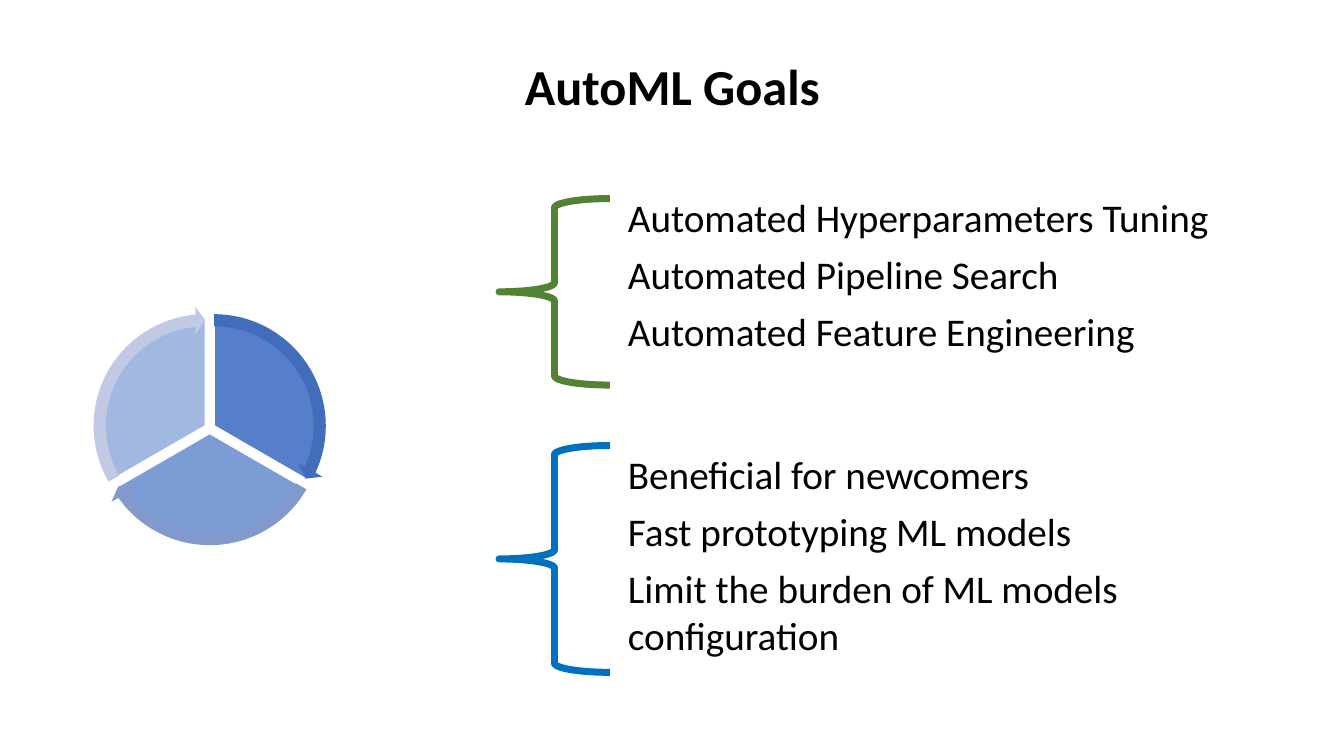
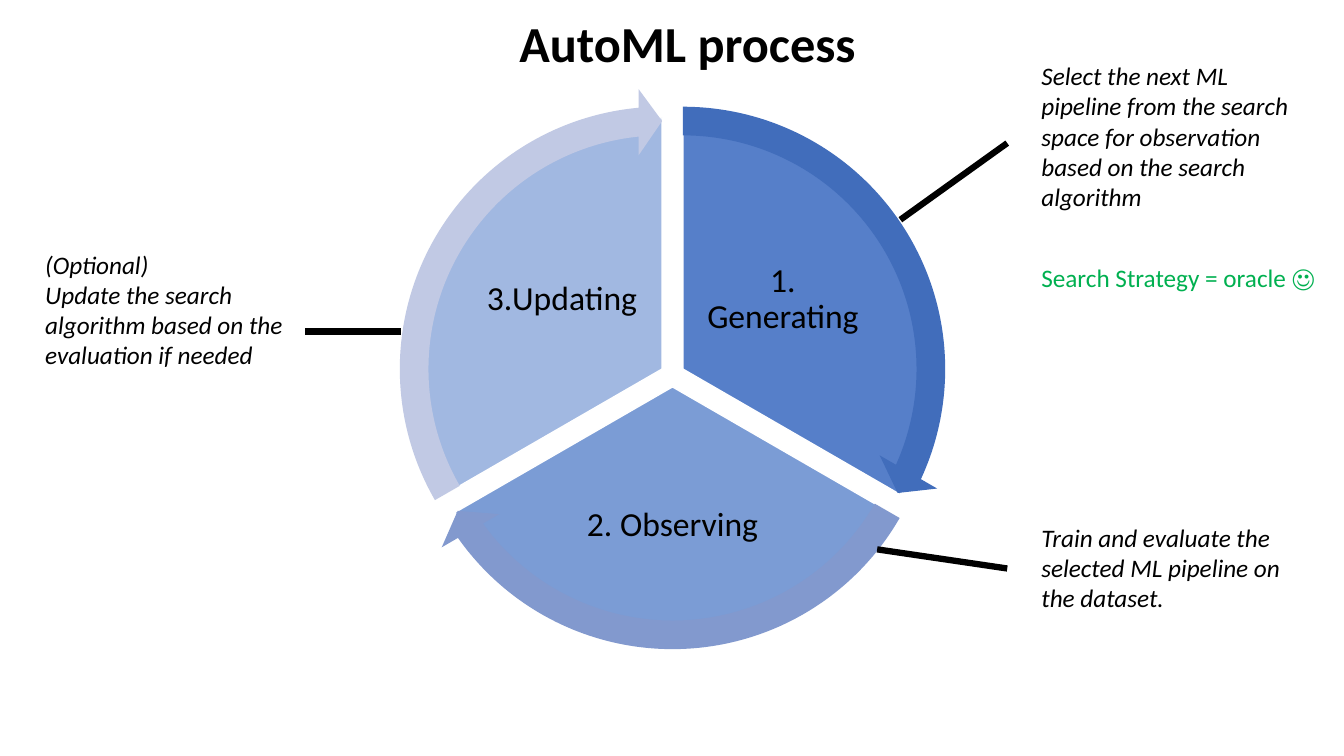
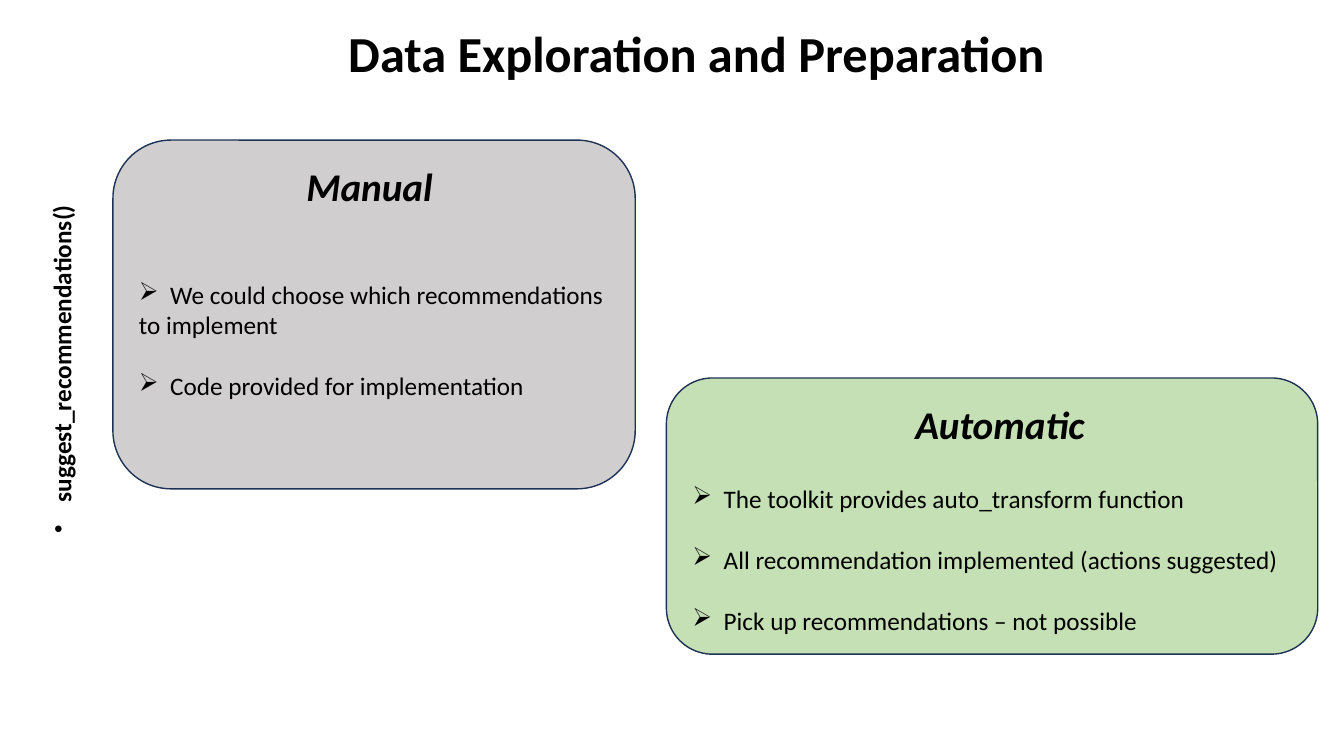
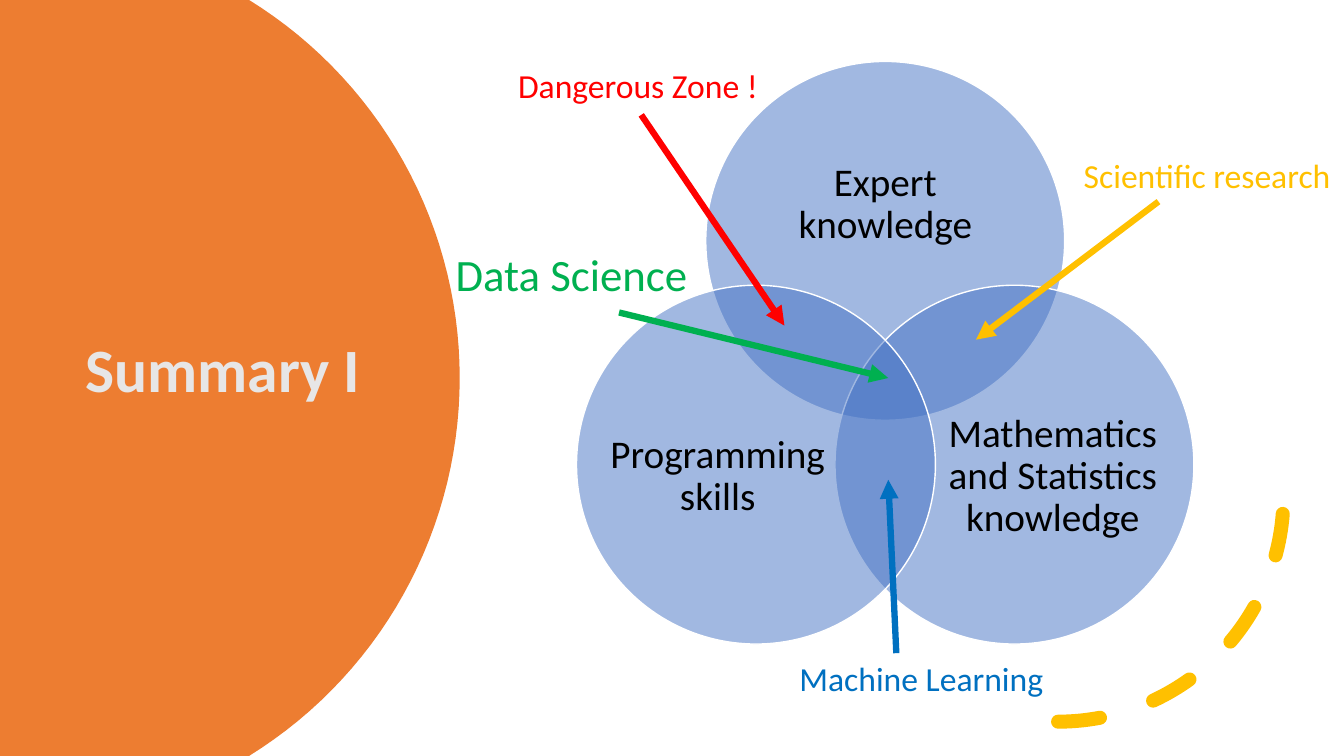
import math
from dataclasses import dataclass

from pptx import Presentation
from pptx import util as u
from pptx.dml.color import RGBColor
from pptx.enum import dml, shapes, text
from pptx.oxml.ns import qn

SHAPE = shapes.MSO_SHAPE
LEFT, CENTER = text.PP_ALIGN.LEFT, text.PP_ALIGN.CENTER
TOP, MIDDLE = text.MSO_ANCHOR.TOP, text.MSO_ANCHOR.MIDDLE


@dataclass(frozen=True)
class Theme:
    font: str = "Calibri"
    black: str = "000000"
    white: str = "FFFFFF"
    blue: str = "4472C4"
    orange: str = "ED7D31"
    pale_gray: str = "E7E6E6"
    card_gray: str = "D0CECE"
    card_green: str = "C5E0B4"
    card_edge: str = "1E3256"
    olive: str = "548235"
    sky: str = "0070C0"
    green: str = "00B050"
    red: str = "FF0000"
    gold: str = "FFC000"
    cycle_arrows: tuple = ("416DBB", "8299CE", "C1C9E4")
    cycle_opacity: tuple = (90, 70, 50)
    note: int = 18
    label: int = 24
    body: int = 28
    callout: int = 32
    title: int = 36
    hero: int = 44
    stroke: float = 4.5
    brace: float = 5


THEME = Theme()


@dataclass(frozen=True)
class Para:
    text: str
    bullet: str = ""
    before: float = 0


def apply(target, values):
    for name, value in values.items():
        setattr(target, name, value)


def inches(*lengths):
    return [u.Inches(length) for length in lengths]


def centered(x, y, width, height):
    return x - width / 2, y - height / 2, width, height


def add_bullet(paragraph, char, indent=0.31):
    props = paragraph._p.get_or_add_pPr()
    props.set("marL", str(u.Inches(indent)))
    props.set("indent", str(u.Inches(-indent)))
    props.append(props.makeelement(qn("a:buChar"), {"char": char}))


def write(frame, paras, size, color=THEME.black, align=LEFT, spacing=1.0, **style):
    for index, para in enumerate(paras):
        if isinstance(para, str):
            para = Para(para)
        paragraph = frame.paragraphs[0] if index == 0 else frame.add_paragraph()
        apply(paragraph, {"alignment": align, "line_spacing": spacing})
        if index:
            paragraph.space_before = u.Pt(para.before)
        if para.bullet:
            add_bullet(paragraph, para.bullet)
        run = paragraph.add_run()
        run.text = para.text
        apply(run.font, {"name": THEME.font, "size": u.Pt(size), **style})
        run.font.color.rgb = RGBColor.from_string(color)


def add_text(slide, box, paras, size, wrap=True, anchor=TOP, inset=None, **style):
    holder = slide.shapes.add_textbox(*inches(*box))
    frame = holder.text_frame
    apply(frame, {"word_wrap": wrap, "vertical_anchor": anchor})
    if inset is not None:
        sides = ("left", "top", "right", "bottom")
        apply(frame, {f"margin_{side}": u.Inches(inset) for side in sides})
    write(frame, paras, size, **style)
    return holder


def add_center_label(slide, box, label, size, inset):
    add_text(slide, box, [label], size, anchor=MIDDLE, inset=inset,
             align=CENTER, spacing=0.9)


def paint(shape, fill=None, opacity=100, line=None, width=1):
    shape.shadow.inherit = False
    if fill:
        shape.fill.solid()
        shape.fill.fore_color.rgb = RGBColor.from_string(fill)
        if opacity < 100:
            color = shape.fill._xPr.find(qn("a:solidFill"))[0]
            alpha = color.makeelement(qn("a:alpha"), {"val": str(opacity * 1000)})
            color.append(alpha)
    else:
        shape.fill.background()
    if line:
        shape.line.color.rgb = RGBColor.from_string(line)
        shape.line.width = u.Pt(width)
    else:
        shape.line.fill.background()


def add_preset(slide, kind, box, adjustments=(), **look):
    shape = slide.shapes.add_shape(kind, *inches(*box))
    for index, value in enumerate(adjustments):
        shape.adjustments[index] = value
    paint(shape, **look)
    return shape


def add_line(slide, start, end, color=THEME.black, arrow=False):
    line = slide.shapes.add_connector(
        shapes.MSO_CONNECTOR.STRAIGHT, *inches(*start, *end))
    line.line.color.rgb = RGBColor.from_string(color)
    line.line.width = u.Pt(THEME.stroke)
    props = line.element.spPr
    if arrow:
        outline = props.find(qn("a:ln"))
        outline.append(outline.makeelement(qn("a:tailEnd"), {"type": "triangle"}))
    props.append(props.makeelement(qn("a:effectLst"), {}))


def add_titled_slide(deck, title, box, size=THEME.title, color=THEME.black,
                     align=CENTER):
    slide = deck.slides.add_slide(deck.slide_layouts[5])
    holder = slide.shapes.title
    apply(holder, dict(zip(("left", "top", "width", "height"), inches(*box))))
    apply(holder.text_frame, {"word_wrap": True, "vertical_anchor": MIDDLE,
                              "auto_size": text.MSO_AUTO_SIZE.NONE})
    write(holder.text_frame, [title], size, color, align, 0.9, bold=True)
    return slide


def add_cycle(slide, x, y, diameter, labels=()):
    """Three sectors pushed out from the centre (x, y), ringed by arrows."""
    push, ring = diameter / 42, diameter * 1.12
    turn, head = 0.6, 3.275  # adjustment units per degree; arrowhead sweep
    centers = []
    for step in range(3):
        middle = math.radians(120 * step - 30)
        centers.append((x + push * math.cos(middle), y + push * math.sin(middle)))
    limits = [((270 + 120 * step) % 360 * turn, (30 + 120 * step) * turn)
              for step in range(3)]
    for center, limit, opacity in zip(centers, limits, THEME.cycle_opacity):
        add_preset(slide, SHAPE.PIE, centered(*center, diameter, diameter), limit,
                   fill=THEME.blue, opacity=opacity, line=THEME.white)
    places = ((0.22, -0.15, 0.36, 0.3), (0, 0.3, 0.54, 0.26), (-0.22, -0.15, 0.36, 0.3))
    for label, place in zip(labels, places):
        dx, dy, width, height = (part * diameter for part in place)
        add_center_label(slide, centered(x + dx, y + dy, width, height),
                         label, THEME.label, 0.03)
    for center, (start, end), color in zip(centers, limits, THEME.cycle_arrows):
        add_preset(slide, SHAPE.CIRCULAR_ARROW, centered(*center, ring, ring),
                   (0.051, head, end - head, start, 0.059), fill=color)


def add_braced_list(slide, left, top, height, list_top, color, goals):
    add_preset(slide, SHAPE.LEFT_BRACE, (left, top, 1.1, height),
               line=color, width=THEME.brace)
    paras = [Para(goal, before=7) for goal in goals]
    add_text(slide, (left + 1.18, list_top, 6.1, height), paras, THEME.body)


def add_card(slide, box, fill, heading, heading_left, list_top, paras):
    """Rounded card; heading_left and list_top are measured from its corner."""
    left, top, width, height = box
    add_preset(slide, SHAPE.ROUNDED_RECTANGLE, box, fill=fill, line=THEME.card_edge)
    add_text(slide, (left + heading_left, top + 0.17, 2, 0.57), [heading],
             THEME.body, bold=True, italic=True)
    add_text(slide, (left + 0.16, top + list_top, width - 0.2, height - list_top),
             paras, THEME.note)


def add_side_panel(slide, height, center_x, radius):
    """Panel from the left edge, bounded on the right by a circle."""
    reach = math.asin(height / 2 / radius)
    steps = 60
    angles = [reach * (2 * step / steps - 1) for step in range(steps + 1)]
    curve = [(center_x + radius * math.cos(angle),
              height / 2 + radius * math.sin(angle)) for angle in angles]
    outline = slide.shapes.build_freeform(0, 0, scale=1.0)
    outline.add_line_segments([inches(*point) for point in curve + [(0, height)]])
    paint(outline.convert_to_shape(), fill=THEME.orange)
    slide.shapes.element.append(slide.shapes.title.element)


def add_dashed_arc(slide, box):
    arc = add_preset(slide, SHAPE.ARC, box, line=THEME.gold, width=10)
    arc.line.dash_style = dml.MSO_LINE.DASH
    props = arc.element.spPr
    props.find(qn("a:xfrm")).set("flipV", "1")
    props.find(qn("a:ln")).set("cap", "rnd")


def add_venn(slide, x, y, diameter, spread):
    """Three circles around (x, y); each label is shifted from its circle."""
    circles = (
        ("Expert knowledge", 0, -0.36, 2.61),
        ("Mathematics and Statistics knowledge", 0.38, 0.12, 2.13),
        ("Programming skills", -0.38, 0.12, 2.13),
    )
    for step, (label, dx, dy, width) in enumerate(circles):
        angle = math.radians(120 * step - 90)
        cx, cy = x + spread * math.cos(angle), y + spread * math.sin(angle)
        add_preset(slide, SHAPE.OVAL, centered(cx, cy, diameter, diameter),
                   fill=THEME.blue, opacity=50, line=THEME.white)
        add_center_label(slide, centered(cx + dx, cy + dy, width, 1.8),
                         label, THEME.body, 0)


def build_goals(deck):
    slide = add_titled_slide(deck, "AutoML Goals", (0.92, 0.4, 11.5, 0.96))
    add_cycle(slide, 2.08, 4.25, 2.12)
    add_braced_list(slide, 4.95, 1.97, 1.85, 1.87, THEME.olive, (
        "Automated Hyperparameters Tuning",
        "Automated Pipeline Search",
        "Automated Feature Engineering"))
    add_braced_list(slide, 4.95, 4.42, 2.25, 4.42, THEME.sky, (
        "Beneficial for newcomers",
        "Fast prototyping ML models",
        "Limit the burden of ML models configuration"))


def build_process(deck):
    slide = add_titled_slide(deck, "AutoML process", (1.07, 0.06, 11.5, 0.8))
    add_cycle(slide, 6.67, 3.72, 4.98, ("1. Generating", "2. Observing", "3.Updating"))
    for start, end in (((8.93, 2.18), (9.99, 1.42)),
                       ((3.03, 3.29), (3.98, 3.29)),
                       ((8.7, 5.45), (9.99, 5.64))):
        add_line(slide, start, end)
    notes = (
        (10.23, 0.55, 1.62, ["Select the next ML pipeline from the search space for "
                             "observation based on the search algorithm"]),
        (10.23, 5.13, 1.01, ["Train and evaluate the selected ML pipeline on the "
                             "dataset."]),
        (0.35, 2.42, 1.31, ["(Optional)", "Update the search algorithm based on the "
                            "evaluation if needed"]),
    )
    for left, top, height, paras in notes:
        add_text(slide, (left, top, 2.75, height), paras, THEME.note, italic=True)
    add_text(slide, (10.23, 2.55, 2.93, 0.4), ["Search Strategy = oracle ☺"],
             THEME.note, wrap=False, color=THEME.green)


def build_preparation(deck):
    slide = add_titled_slide(deck, "Data Exploration and Preparation",
                             (1.16, 0.27, 11.5, 0.57))
    side = add_text(slide, (-1.12, 3.46, 3.46, 0.4),
                    [Para("suggest_recommendations()", "•")], THEME.note, bold=True)
    side.rotation = 270
    gap = 22
    add_card(slide, (1.12, 1.39, 5.18, 3.46), THEME.card_gray, "Manual", 1.82, 1.33, (
        Para("We could choose which recommendations", "➢"),
        Para("to implement"),
        Para("Code provided for implementation", "➢", gap)))
    add_card(slide, (6.61, 3.75, 6.46, 2.74), THEME.card_green, "Automatic", 2.37, 1, (
        Para("The toolkit provides auto_transform function", "➢"),
        Para("All recommendation implemented (actions suggested)", "➢", gap),
        Para("Pick up recommendations – not possible", "➢", gap)))


def build_summary(deck):
    slide = add_titled_slide(deck, "Summary I", (0.75, 1.26, 3.5, 4.88),
                             THEME.hero, THEME.pale_gray, LEFT)
    add_side_panel(slide, 7.5, 0.15, 4.41)
    add_dashed_arc(slide, (8.26, 2.69, 4.47, 4.47))
    add_venn(slide, 8.78, 3.87, 3.56, 1.48)
    overlaps = (
        ("Machine Learning", (7.83, 6.48, 2.65, 0.5), THEME.label, THEME.sky,
         (8.89, 6.48), (8.81, 4.76)),
        ("Dangerous Zone !", (5.04, 0.59, 2.6, 0.5), THEME.label, THEME.red,
         (6.36, 1.14), (7.78, 3.23)),
        ("Scientific research", (10.65, 1.49, 2.68, 0.5), THEME.label, THEME.gold,
         (11.49, 2), (9.68, 3.37)),
        ("Data Science", (4.42, 2.4, 2.52, 0.64), THEME.callout, THEME.green,
         (6.14, 3.1), (8.81, 3.75)),
    )
    for label, box, size, color, start, end in overlaps:
        add_line(slide, start, end, color, arrow=True)
        add_text(slide, box, [label], size, wrap=False, color=color)


def main():
    deck = Presentation()
    deck.slide_width, deck.slide_height = inches(13.33, 7.5)
    for build in (build_goals, build_process, build_preparation, build_summary):
        build(deck)
    deck.save("out.pptx")


if __name__ == "__main__":
    main()
